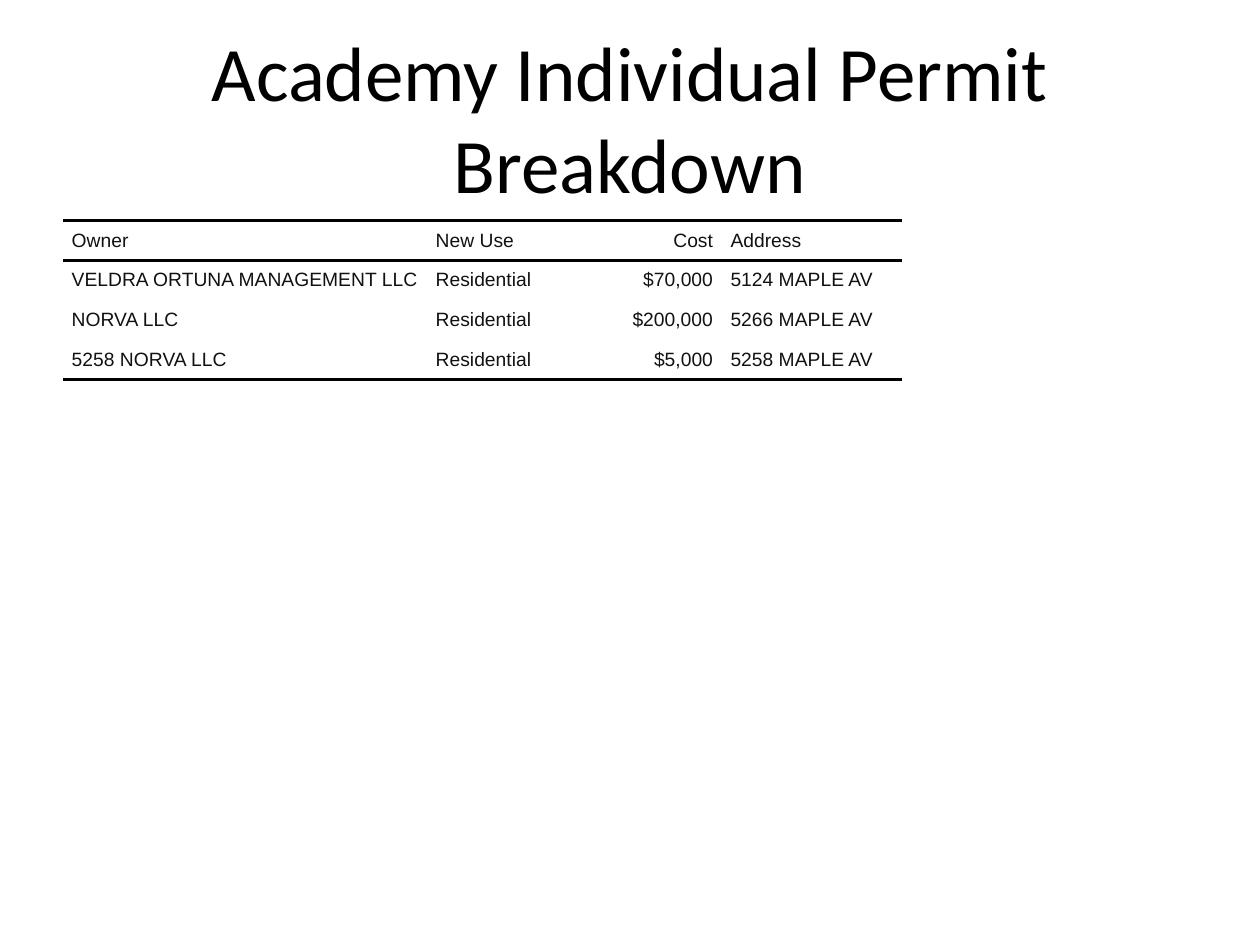
"""Build the permit breakdown slide."""
from lxml import etree
from pptx import Presentation
from pptx.dml.color import RGBColor
from pptx.enum.text import MSO_ANCHOR, PP_ALIGN
from pptx.oxml.ns import qn
from pptx.util import Pt

LEFT, CENTER, RIGHT = PP_ALIGN.LEFT, PP_ALIGN.CENTER, PP_ALIGN.RIGHT
MIDDLE = MSO_ANCHOR.MIDDLE

PERMITS = [
    ("Owner", "New Use", "Cost", "Address"),
    ("VELDRA ORTUNA MANAGEMENT LLC", "Residential", "$70,000", "5124 MAPLE AV"),
    ("NORVA LLC", "Residential", "$200,000", "5266 MAPLE AV"),
    ("5258 NORVA LLC", "Residential", "$5,000", "5258 MAPLE AV"),
]
COLUMN_WIDTHS = (208, 75, 93.5, 103)
COLUMN_ALIGNMENTS = (LEFT, LEFT, RIGHT, LEFT)
RULED_EDGES = {0, 1, len(PERMITS)}


def color(value):
    return RGBColor.from_string(value)


class SlideBuilder:
    title_font, title_size, title_color = "Calibri", 44, "000000"
    table_font, table_size, table_color = "Arial", 11, "111111"
    rule_color, rule_width = "000000", 2
    row_height, cell_indent, cell_spacing = 22.7, 5, 2

    def __init__(self, slide):
        self.slide = slide

    def add_run(self, paragraph, text, font, size, text_color):
        run = paragraph.add_run()
        run.text = text
        run.font.name = font
        run.font.size = Pt(size)
        run.font.color.rgb = color(text_color)

    def add_title(self, text, left, top, width, height):
        shape = self.slide.shapes.add_textbox(Pt(left), Pt(top), Pt(width), Pt(height))
        frame = shape.text_frame
        frame.word_wrap = True
        frame.vertical_anchor = MIDDLE
        paragraph = frame.paragraphs[0]
        paragraph.alignment = CENTER
        self.add_run(paragraph, text, self.title_font, self.title_size, self.title_color)

    def add_border(self, cell, side, visible):
        properties = cell._tc.get_or_add_tcPr()
        line = etree.SubElement(properties, qn(f"a:ln{side}"))
        if visible:
            line.set("w", str(Pt(self.rule_width)))
            fill = etree.SubElement(line, qn("a:solidFill"))
            etree.SubElement(fill, qn("a:srgbClr"), val=self.rule_color)
        else:
            etree.SubElement(line, qn("a:noFill"))

    def fill_cell(self, cell, text, alignment, row_index):
        cell.margin_left = cell.margin_right = cell.margin_top = cell.margin_bottom = 0
        cell.vertical_anchor = MIDDLE
        for side in "LR":
            self.add_border(cell, side, False)
        for side, edge in (("T", row_index), ("B", row_index + 1)):
            self.add_border(cell, side, edge in RULED_EDGES)
        cell.fill.background()
        paragraph = cell.text_frame.paragraphs[0]
        paragraph.alignment = alignment
        paragraph.space_before = paragraph.space_after = Pt(self.cell_spacing)
        indents = paragraph._p.get_or_add_pPr()
        for margin in ("marL", "marR"):
            indents.set(margin, str(Pt(self.cell_indent)))
        self.add_run(paragraph, text, self.table_font, self.table_size, self.table_color)

    def add_table(self, rows, widths, alignments, left, top):
        table = self.slide.shapes.add_table(
            len(rows), len(widths), Pt(left), Pt(top),
            Pt(sum(widths)), Pt(self.row_height * len(rows))).table
        table.first_row = table.horz_banding = False
        for column, width in zip(table.columns, widths):
            column.width = Pt(width)
        for row_index, texts in enumerate(rows):
            for column_index, (text, alignment) in enumerate(zip(texts, alignments)):
                self.fill_cell(table.cell(row_index, column_index), text, alignment, row_index)


def main():
    presentation = Presentation()
    presentation.slide_width, presentation.slide_height = Pt(720), Pt(540)
    builder = SlideBuilder(presentation.slides.add_slide(presentation.slide_layouts[6]))
    builder.add_title("Academy Individual Permit Breakdown", 36, 21.6, 648, 90)
    builder.add_table(PERMITS, COLUMN_WIDTHS, COLUMN_ALIGNMENTS, 36, 126)
    presentation.save("out.pptx")


if __name__ == "__main__":
    main()
